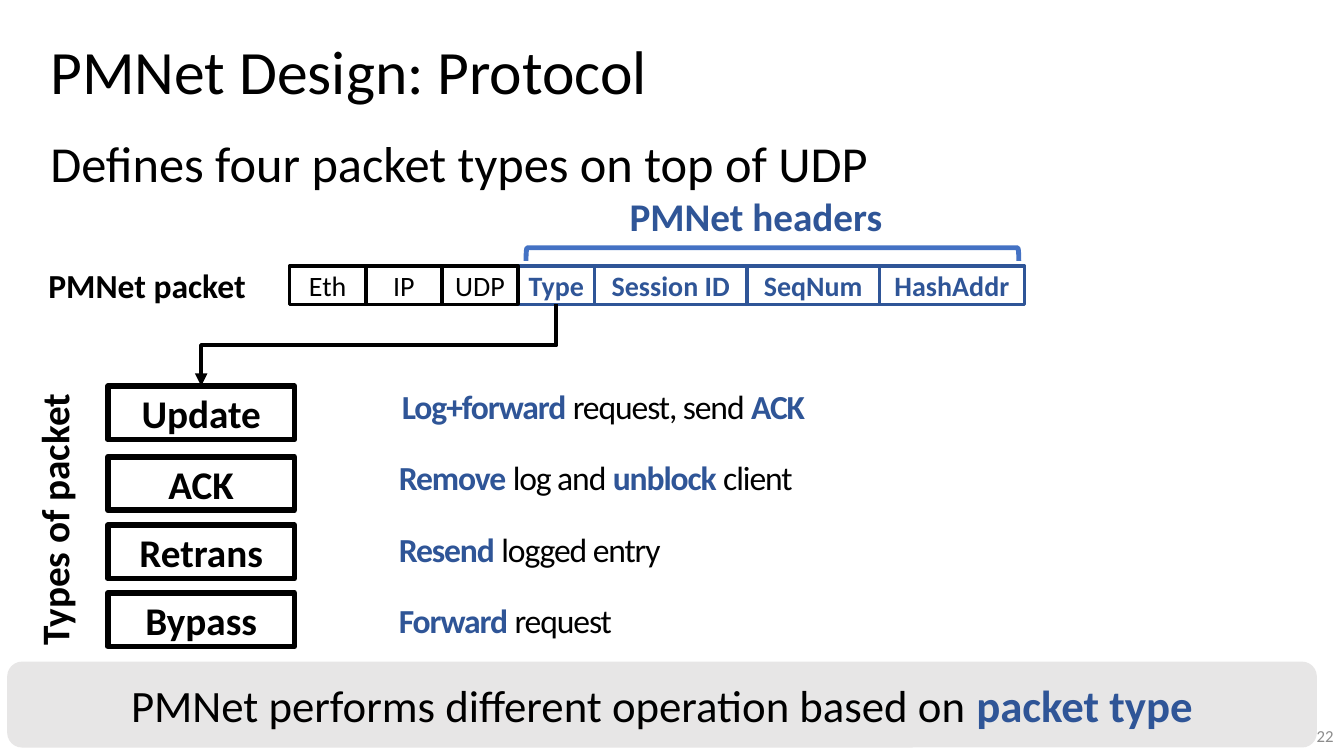
from dataclasses import dataclass
from itertools import accumulate
from typing import NamedTuple

from pptx import Presentation
from pptx.dml.color import RGBColor
from pptx.enum.shapes import MSO_CONNECTOR as CONN, MSO_SHAPE as SHAPE
from pptx.enum.text import MSO_ANCHOR as ANCHOR, PP_ALIGN as ALIGN
from pptx.oxml.ns import qn
from pptx.shapes.autoshape import Shape
from pptx.shapes.connector import Connector
from pptx.slide import Slide
from pptx.util import Cm, Pt
from lxml.etree import SubElement


@dataclass(frozen=True)
class Theme:
    font: str = "Calibri"
    black: str = "000000"
    blue: str = "2F5597"
    bracket: str = "4472C4"
    banner: str = "E7E6E6"
    gray: str = "8C8C8C"
    title: int = 44
    subtitle: int = 36
    message: int = 32
    heading: int = 28
    body: int = 24
    cell: int = 20
    number: int = 12


class Box(NamedTuple):
    left: float
    top: float
    width: float
    height: float


class Run(NamedTuple):
    text: str
    strong: bool = False


class Field(NamedTuple):
    name: str
    width: float
    custom: bool = False


class PacketType(NamedTuple):
    name: str
    top: float
    action: list[Run]


THEME = Theme()
FIELDS = [
    Field("Eth", 1.92),
    Field("IP", 1.92),
    Field("UDP", 1.92),
    Field("Type", 1.92, True),
    Field("Session ID", 3.85, True),
    Field("SeqNum", 3.33, True),
    Field("HashAddr", 3.66, True),
]
PACKET_TYPES = [
    PacketType("Update", 9.73, [Run("Log+forward ", True), Run("request, send "), Run("ACK", True)]),
    PacketType("ACK", 11.51, [Run("Remove ", True), Run("log and "), Run("unblock ", True), Run("client")]),
    PacketType("Retrans", 13.23, [Run("Resend ", True), Run("logged entry")]),
    PacketType("Bypass", 14.94, [Run("Forward ", True), Run("request")]),
]
FIELD_LEFT, FIELD_TOP, FIELD_HEIGHT = 7.3, 6.7, 0.97
ACTION_TOP, ACTION_PITCH = 9.6, 1.8


def rgb(color: str) -> RGBColor:
    return RGBColor.from_string(color)


def write(s: Shape, text: str | list[Run], *, size: int, color: str = THEME.black,
          bold: bool = False, align: ALIGN = ALIGN.LEFT, anchor: ANCHOR = ANCHOR.TOP,
          wrap: bool = True, leading: float | None = None, spacing: int | None = None) -> None:
    tf = s.text_frame
    tf.word_wrap = wrap
    tf.vertical_anchor = anchor
    p = tf.paragraphs[0]
    p.alignment = align
    if leading:
        p.line_spacing = leading
    for part in [Run(text)] if isinstance(text, str) else text:
        r = p.add_run()
        r.text = part.text
        r.font.name = THEME.font
        r.font.size = Pt(size)
        r.font.bold = bold or part.strong
        r.font.color.rgb = rgb(THEME.blue if part.strong else color)
        if spacing:
            r.font._element.set("spc", str(spacing))


def add_label(slide: Slide, box: Box, text: str | list[Run], **fmt) -> Shape:
    s = slide.shapes.add_textbox(*map(Cm, box))
    write(s, text, **fmt)
    return s


def add_outline(slide: Slide, kind: SHAPE, box: Box, line: str, weight: float,
                fill: str | None = None) -> Shape:
    s = slide.shapes.add_shape(kind, *map(Cm, box))
    s.shadow.inherit = False
    s.line.color.rgb = rgb(line)
    s.line.width = Pt(weight)
    if fill:
        s.fill.solid()
        s.fill.fore_color.rgb = rgb(fill)
    else:
        s.fill.background()
    return s


def add_fields(slide: Slide) -> dict[str, Shape]:
    lefts = accumulate((f.width for f in FIELDS), initial=FIELD_LEFT)
    cells = {}
    for field, left in reversed(list(zip(FIELDS, lefts))):
        color = THEME.blue if field.custom else THEME.black
        box = Box(left, FIELD_TOP, field.width, FIELD_HEIGHT)
        s = add_outline(slide, SHAPE.RECTANGLE, box, color, 2.5)
        write(s, field.name, size=THEME.cell, color=color, bold=field.custom,
              align=ALIGN.CENTER, anchor=ANCHOR.MIDDLE, wrap=False)
        cells[field.name] = s
    return cells


def add_packet_types(slide: Slide) -> dict[str, Shape]:
    boxes = {}
    for i, kind in enumerate(PACKET_TYPES):
        s = add_outline(slide, SHAPE.RECTANGLE, Box(2.72, kind.top, 4.7, 1.35), THEME.black, 4)
        write(s, kind.name, size=THEME.heading, bold=True, align=ALIGN.CENTER, anchor=ANCHOR.MIDDLE)
        boxes[kind.name] = s
        left, width = (9.88, 11.15) if i == 0 else (9.8, 10.44)
        add_label(slide, Box(left, ACTION_TOP + i * ACTION_PITCH, width, 1.27), kind.action,
                  size=THEME.body, spacing=-80)
    return boxes


def add_elbow_arrow(slide: Slide, source: Shape, target: Shape) -> Connector:
    x1, y1 = source.left + source.width // 2, source.top + source.height
    x2, y2 = target.left + target.width // 2, target.top
    drop, span = y2 - y1, x1 - x2
    left, top = (x1 + x2 - drop) // 2, (y1 + y2 - span) // 2
    c = slide.shapes.add_connector(CONN.ELBOW, x1, y1, x2, y2)
    c.begin_connect(source, 2)
    c.end_connect(target, 0)
    c.line.color.rgb = rgb(THEME.black)
    c.line.width = Pt(3)
    spPr = c._element.spPr
    xfrm = spPr.find(qn("a:xfrm"))
    xfrm.attrib.clear()
    xfrm.set("rot", "5400000")
    c.left, c.top, c.width, c.height = left, top, drop, span
    SubElement(spPr.find(qn("a:ln")), qn("a:tailEnd"), type="triangle")
    SubElement(spPr, qn("a:effectLst"))
    return c


def main() -> None:
    prs = Presentation()
    prs.slide_width, prs.slide_height = Cm(33.87), Cm(19.05)
    slide = prs.slides.add_slide(prs.slide_layouts[6])

    add_label(slide, Box(1.02, 0.03, 29.21, 3.68), "PMNet Design: Protocol",
              size=THEME.title, anchor=ANCHOR.MIDDLE, leading=0.9)
    add_label(slide, Box(1.02, 3.2, 30.2, 1.8), "Defines four packet types on top of UDP",
              size=THEME.subtitle)
    banner = add_outline(slide, SHAPE.ROUNDED_RECTANGLE, Box(0.2, 16.69, 32.97, 2.13),
                         THEME.banner, 1, THEME.banner)
    write(banner, [Run("PMNet performs different operation based on "), Run("packet type", True)],
          size=THEME.message, align=ALIGN.CENTER, anchor=ANCHOR.MIDDLE)
    add_label(slide, Box(26.24, 18.03, 7.62, 1.02), "22", size=THEME.number, color=THEME.gray,
              align=ALIGN.RIGHT, anchor=ANCHOR.MIDDLE)

    boxes = add_packet_types(slide)
    axis = add_label(slide, Box(-2.26, 12.37, 7.24, 1.45), "Types of packet",
                     size=THEME.heading, bold=True, align=ALIGN.CENTER)
    axis.rotation = 270

    cells = add_fields(slide)
    add_label(slide, Box(0.97, 6.55, 5.64, 1.27), "PMNet packet", size=THEME.body, bold=True)
    add_label(slide, Box(14.73, 4.72, 8.64, 1.45), "PMNet headers", size=THEME.heading,
              color=THEME.blue, bold=True, align=ALIGN.CENTER)
    bracket = add_outline(slide, SHAPE.LEFT_BRACKET, Box(19.3, 0.2, 0.33, 12.42), THEME.bracket, 3.5)
    bracket.rotation = 90
    add_elbow_arrow(slide, cells["Type"], boxes["Update"])

    prs.save("out.pptx")


if __name__ == "__main__":
    main()
